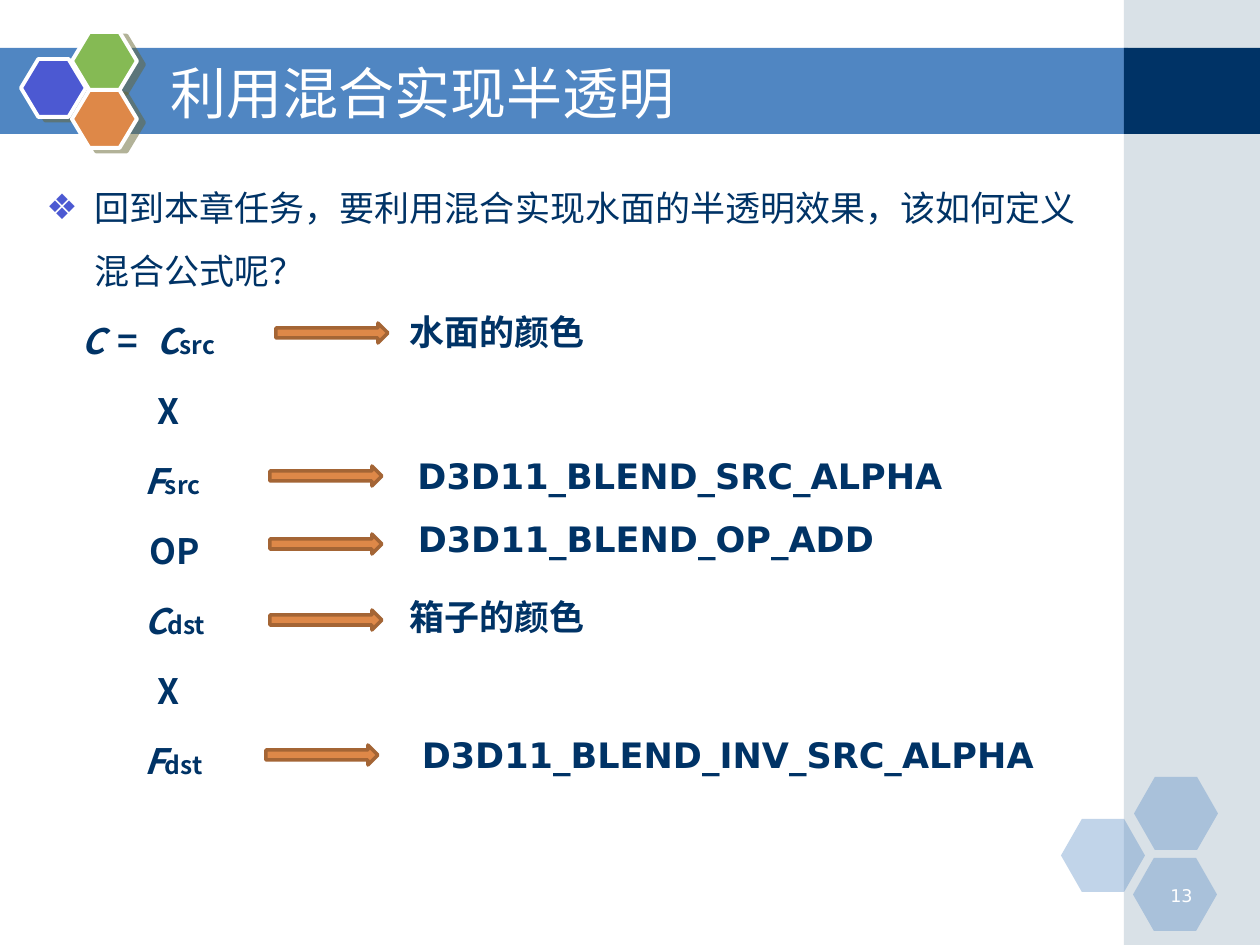
from lxml.etree import SubElement
from pptx import Presentation
from pptx.dml.color import RGBColor
from pptx.enum.shapes import MSO_SHAPE as Shape
from pptx.enum.text import MSO_ANCHOR as Anchor, PP_ALIGN as Align
from pptx.oxml.ns import qn
from pptx.util import Emu, Pt

COLORS = {
    "band": "5086C2", "side": "A0B5C4", "navy": "003366", "white": "FFFFFF",
    "violet": "4C59D2", "green": "85BA54", "orange": "DE8848",
    "brown": "A46535", "shade": "666633",
}
CJK, LATIN = "Noto Sans CJK SC", "DejaVu Sans"


def px(count):
    return Emu(round(count * 914400 / 126))


class Page:
    def __init__(self, deck):
        self.slide = deck.slides.add_slide(deck.slide_layouts[6])

    def shape(self, kind, at, fill, line=None, width=2, alpha=None, adjust=None):
        shape = self.slide.shapes.add_shape(kind, *map(px, at))
        shape.shadow.inherit = False
        shape.fill.solid()
        shape.fill.fore_color.rgb = RGBColor.from_string(COLORS[fill])
        if alpha:
            color = shape.fill._xPr.find(qn("a:solidFill"))[0]
            SubElement(color, qn("a:alpha"), val=str(alpha * 1000))
        if line:
            shape.line.color.rgb = RGBColor.from_string(COLORS[line])
            shape.line.width = Pt(width)
        else:
            shape.line.fill.background()
        if adjust:
            shape.adjustments[0] = adjust
        return shape

    def drop_shadow(self, shape):
        effects = shape._element.spPr.find(qn("a:effectLst"))
        shadow = SubElement(effects, qn("a:outerShdw"), blurRad="0", dist=str(Pt(4.5)),
                            dir=str(27 * 60000), algn="ctr", rotWithShape="0")
        color = SubElement(shadow, qn("a:srgbClr"), val=COLORS["shade"])
        SubElement(color, qn("a:alpha"), val="50000")

    def box(self, at, anchor=Anchor.TOP):
        frame = self.slide.shapes.add_textbox(*map(px, at)).text_frame
        frame.word_wrap = True
        frame.vertical_anchor = anchor
        return frame

    def span(self, para, text, size=20, font=CJK, color="navy",
             bold=False, italic=False, spacing=None):
        span = para.add_run()
        span.text = text
        span.font.size = Pt(size)
        span.font.name = font
        span.font.bold = bold
        span.font.italic = italic
        span.font.color.rgb = RGBColor.from_string(COLORS[color])
        props = span._r.get_or_add_rPr()
        SubElement(props, qn("a:ea"), typeface=font)
        if spacing:
            props.set("spc", str(spacing * 100))

    def label(self, at, text, align=Align.CENTER, anchor=Anchor.MIDDLE, **style):
        para = self.box(at, anchor).paragraphs[0]
        para.alignment = align
        self.span(para, text, **style)

    def indent(self, para, left, hanging=0):
        props = para._p.get_or_add_pPr()
        props.set("marL", str(px(left)))
        props.set("indent", str(-px(hanging)))
        para.line_spacing = Pt(36)
        return props

    def bullet(self, props, mark, color):
        tint = SubElement(props, qn("a:buClr"))
        SubElement(tint, qn("a:srgbClr"), val=COLORS[color])
        SubElement(props, qn("a:buFont"), typeface=LATIN)
        SubElement(props, qn("a:buChar"), char=mark)


def main():
    deck = Presentation()
    deck.slide_width, deck.slide_height = px(1260), px(945)
    page = Page(deck)

    # Title band and side panel
    page.shape(Shape.RECTANGLE, (0, 48, 1128, 86), "band")
    page.shape(Shape.RECTANGLE, (1124, 0, 136, 945), "side", alpha=40)
    page.shape(Shape.RECTANGLE, (1124, 48, 136, 86), "navy")

    # Pale hexagons in the corner
    for left, top in ((1061, 819), (1134, 777), (1133, 858)):
        page.shape(Shape.HEXAGON, (left, top, 84, 73), "band", alpha=35, adjust=0.286)

    # Hexagon cluster beside the title
    for left, top, fill in ((21, 59, "violet"), (72, 32, "green"), (72, 90, "orange")):
        cell = page.shape(Shape.HEXAGON, (left, top, 65, 58), fill,
                          line="white", width=2.25, adjust=0.3)
        page.drop_shadow(cell)

    # Title
    page.label((158, 53, 924, 78), "利用混合实现半透明", align=Align.LEFT,
               size=32, color="white")

    # Question
    body = page.box((34, 159, 1082, 635))
    question = body.paragraphs[0]
    props = page.indent(question, 48, 48)
    page.bullet(props, "❖", "violet")
    page.span(question, "回到本章任务，要利用混合实现水面的半透明效果，该如何定义混合公式呢？")

    # Blending formula, one term a line: indent, symbol, subscript
    terms = (
        (35, "C", "src"), (111, "X", ""), (98, "F", "src"), (103, "OP", ""),
        (98, "C", "dst"), (111, "X", ""), (98, "F", "dst"),
    )
    for row, (left, symbol, subscript) in enumerate(terms):
        para = body.add_paragraph()
        page.indent(para, left)
        para.space_before = Pt(4)
        if row == 0:
            page.span(para, "C", bold=True, italic=True)
            page.span(para, " = ", bold=True, spacing=3)
        page.span(para, symbol, bold=True, italic=bool(subscript))
        if subscript:
            page.span(para, subscript, size=14, bold=True)

    # Meaning of each term: arrow place, label place, text
    meanings = (
        (276, 323, 363, 307, 268, CJK, "水面的颜色"),
        (270, 466, 382, 451, 596, LATIN, "D3D11_BLEND_SRC_ALPHA"),
        (270, 534, 353, 514, 586, LATIN, "D3D11_BLEND_OP_ADD"),
        (270, 610, 363, 592, 268, CJK, "箱子的颜色"),
        (266, 745, 381, 730, 694, LATIN, "D3D11_BLEND_INV_SRC_ALPHA"),
    )
    for arrow_left, arrow_top, left, top, width, font, text in meanings:
        page.shape(Shape.RIGHT_ARROW, (arrow_left, arrow_top, 112, 20),
                   "orange", line="brown")
        page.label((left, top, width, 49), text, font=font, bold=True)

    # Page number
    page.label((1142, 879, 63, 32), "13", align=Align.RIGHT, anchor=Anchor.TOP,
               size=10, font=LATIN, color="white")

    deck.save("out.pptx")


if __name__ == "__main__":
    main()
